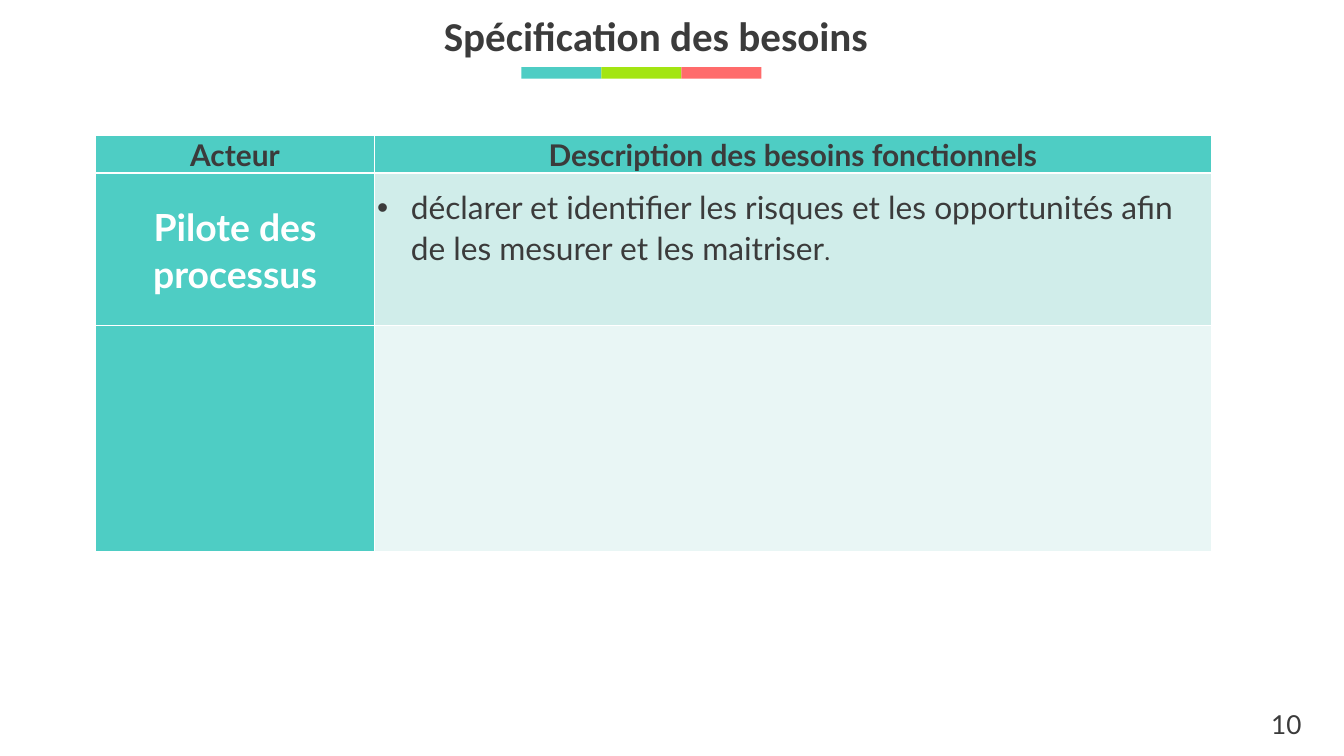
import dataclasses

import pptx
import pptx.dml.color
import pptx.enum.shapes
import pptx.enum.text
import pptx.oxml
import pptx.oxml.ns
import pptx.util

Cm = pptx.util.Cm
Pt = pptx.util.Pt
ALIGN = pptx.enum.text.PP_ALIGN
ANCHOR = pptx.enum.text.MSO_ANCHOR


@dataclasses.dataclass(frozen=True)
class Theme:
    ink: str = "3B3B3B"
    white: str = "FFFFFF"
    teal: str = "4ECDC4"
    lime: str = "A3E511"
    coral: str = "FF6B6B"
    mint: str = "D0EDEA"
    pale: str = "E9F6F5"
    title_font: str = "Calibri"
    body_font: str = "Lato"
    title_size: int = 44
    actor_size: int = 40
    need_size: int = 34
    header_size: int = 32
    number_size: int = 28
    stop_size: int = 27


THEME = Theme()


def rgb(value):
    return pptx.dml.color.RGBColor.from_string(value)


def apply(target, values):
    for name, value in values.items():
        setattr(target, name, value)


def paint(shape_fill, color):
    shape_fill.solid()
    shape_fill.fore_color.rgb = rgb(color)


def add_run(paragraph, text, size, color=THEME.ink, bold=False, font=THEME.body_font):
    run = paragraph.add_run()
    run.text = text
    apply(run.font, {"name": font, "size": Pt(size), "bold": bold})
    run.font.color.rgb = rgb(color)


def add_text_box(slide, box):
    frame = slide.shapes.add_textbox(*map(Cm, box)).text_frame
    frame.word_wrap = True
    return frame.paragraphs[0]


def add_title(slide, box):
    title = add_text_box(slide, box)
    title.alignment = ALIGN.CENTER
    add_run(title, "Spécification des besoins", THEME.title_size,
            bold=True, font=THEME.title_font)


def add_color_strip(slide, box):
    left, top, width, height = box
    colors = (THEME.teal, THEME.lime, THEME.coral)
    step = width / len(colors)
    for index, color in enumerate(colors):
        band = slide.shapes.add_shape(
            pptx.enum.shapes.MSO_SHAPE.RECTANGLE,
            Cm(left + index * step), Cm(top), Cm(step), Cm(height))
        band.shadow.inherit = False
        band.line.fill.background()
        paint(band.fill, color)


def add_borders(cell, widths):
    properties = cell._tc.get_or_add_tcPr()
    for side, width in widths.items():
        properties.append(pptx.oxml.parse_xml(
            f'<a:ln{side} {pptx.oxml.ns.nsdecls("a")} w="{Pt(width)}">'
            f'<a:solidFill><a:srgbClr val="{THEME.white}"/></a:solidFill>'
            f'</a:ln{side}>'))


def add_bullet(paragraph, indent):
    properties = paragraph._p.get_or_add_pPr()
    properties.set("marL", str(indent))
    properties.set("indent", str(-indent))
    properties.append(pptx.oxml.parse_xml(
        f'<a:buFont {pptx.oxml.ns.nsdecls("a")} typeface="Arial"/>'))
    properties.append(pptx.oxml.parse_xml(
        f'<a:buChar {pptx.oxml.ns.nsdecls("a")} char="•"/>'))


def add_needs_table(slide, box):
    heights = (1.22, 5.74, 8.56)
    fills = ((THEME.teal, THEME.teal),
             (THEME.teal, THEME.mint),
             (THEME.teal, THEME.pale))
    table = slide.shapes.add_table(3, 2, *map(Cm, box)).table
    apply(table, {"first_row": False, "horz_banding": False})
    for column, share in zip(table.columns, (0.25, 0.75)):
        column.width = Cm(box[2] * share)
    margins = {"margin_left": Cm(0.1), "margin_right": Cm(0.1),
               "margin_top": 0, "margin_bottom": 0}
    for row, (height, colors) in enumerate(zip(heights, fills)):
        table.rows[row].height = Cm(height)
        for column, color in enumerate(colors):
            cell = table.cell(row, column)
            apply(cell, margins)
            add_borders(cell, {"L": 1, "R": 1, "T": 3 if row == 1 else 1,
                               "B": 3 if row == 0 else 1})
            paint(cell.fill, color)

    centered = {"alignment": ALIGN.CENTER, "line_spacing": 1.06}
    for column, label in enumerate(("Acteur", "Description des besoins fonctionnels")):
        header = table.cell(0, column).text_frame.paragraphs[0]
        apply(header, centered)
        add_run(header, label, THEME.header_size, bold=True)

    actor_cell = table.cell(1, 0)
    actor_cell.vertical_anchor = ANCHOR.MIDDLE
    actor = actor_cell.text_frame.paragraphs[0]
    apply(actor, centered)
    add_run(actor, "Pilote des processus", THEME.actor_size, THEME.white, bold=True)

    need_cell = table.cell(1, 1)
    need_cell.margin_top = Cm(0.5)
    need = need_cell.text_frame.paragraphs[0]
    need.line_spacing = 1.06
    add_bullet(need, Cm(1.27))
    add_run(need, "déclarer et identifier les risques et les opportunités "
                  "afin de les mesurer et les maitriser", THEME.need_size)
    add_run(need, ".", THEME.stop_size)


def add_page_number(slide, box):
    add_run(add_text_box(slide, box), "10", THEME.number_size)


def main():
    deck = pptx.Presentation()
    apply(deck, {"slide_width": Cm(50.8), "slide_height": Cm(28.58)})
    slide = deck.slides.add_slide(deck.slide_layouts[6])
    add_title(slide, (15.19, 0.28, 19.23, 2.13))
    add_needs_table(slide, (3.61, 5.11, 42.19, 15.52))
    add_color_strip(slide, (19.71, 2.54, 9.07, 0.43))
    add_page_number(slide, (47.8, 26.67, 3.28, 1.35))
    deck.save("out.pptx")


if __name__ == "__main__":
    main()
